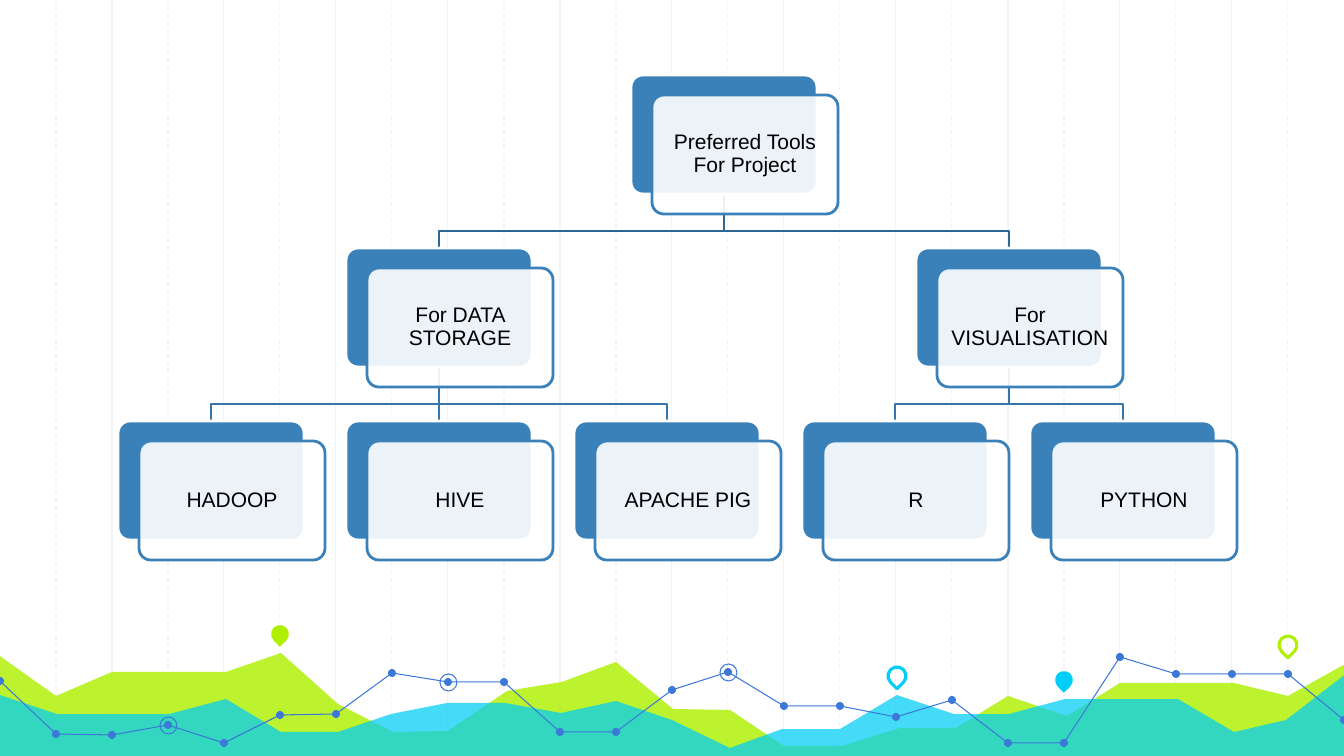
from lxml import etree
from pptx import Presentation
from pptx.dml.color import RGBColor
from pptx.enum.dml import MSO_LINE
from pptx.enum.shapes import MSO_CONNECTOR, MSO_SHAPE
from pptx.enum.text import MSO_ANCHOR, PP_ALIGN
from pptx.oxml.ns import qn
from pptx.util import Inches, Pt

PX = Inches(1) / 100.8
W, H = 1344, 756
STEP = 56  # spacing of the background grid

WHITE = RGBColor(0xFF, 0xFF, 0xFF)
BLACK = RGBColor(0x00, 0x00, 0x00)
GRID = RGBColor(0xF3, 0xF3, 0xF3)
LIME = RGBColor(0xAF, 0xF0, 0x00)
CYAN = RGBColor(0x00, 0xCE, 0xF6)
TREND = RGBColor(0x3C, 0x78, 0xD8)
CARD = RGBColor(0x3A, 0x81, 0xBA)
LINKS = [RGBColor(0x2E, 0x67, 0x95), RGBColor(0x35, 0x75, 0xA9)]

LIME_AREA = [
    (-3, 654), (56, 696), (112, 672), (226, 672), (281, 653), (338, 704),
    (393, 732), (448, 731), (507, 691), (562, 682), (616, 662), (673, 709),
    (730, 710), (784, 746), (842, 746), (900, 728), (956, 728), (1008, 696),
    (1067, 716), (1120, 683), (1234, 683), (1288, 696), (1347, 663),
    (1346, 758), (-4, 758)]
CYAN_AREA = [
    (-3, 694), (57, 714), (169, 714), (226, 699), (281, 732), (338, 732),
    (391, 714), (447, 703), (505, 703), (561, 713), (616, 701), (672, 720),
    (730, 748), (782, 729), (840, 729), (897, 695), (954, 714), (1009, 714),
    (1065, 699), (1178, 699), (1234, 732), (1286, 720), (1347, 673),
    (1347, 759), (-4, 759)]
TREND_Y = [681, 734, 735, 725, 743, 715, 714, 673, 682, 682, 732, 732, 690,
           672, 706, 706, 717, 700, 743, 743, 657, 674, 674, 674, 720]
TREND_PARTS = [(0, 11), (11, 20), (20, 24)]
RINGED = [8, 3, 13]

# Tree: name -> (column, level, parent); columns count leaf cards
TREE = {
    "Preferred Tools For Project": (2.25, 0, None),
    "For DATA STORAGE": (1, 1, "Preferred Tools For Project"),
    "HADOOP": (0, 2, "For DATA STORAGE"),
    "HIVE": (1, 2, "For DATA STORAGE"),
    "APACHE PIG": (2, 2, "For DATA STORAGE"),
    "For VISUALISATION": (3.5, 1, "Preferred Tools For Project"),
    "R": (3, 2, "For VISUALISATION"),
    "PYTHON": (4, 2, "For VISUALISATION"),
}
CARD_W, CARD_H = 186, 119
BEND = 37  # drop from a parent card to the crossbar


def emu(px):
    return round(px * PX)


class Canvas:
    font = {"name": "Arial", "size": Pt(15)}
    paragraph = {"alignment": PP_ALIGN.CENTER, "line_spacing": 0.9,
                 "space_after": Pt(5)}
    frame = {"word_wrap": True, "vertical_anchor": MSO_ANCHOR.MIDDLE,
             **{f"margin_{side}": emu(9)
                for side in ("left", "top", "right", "bottom")}}

    def __init__(self, slide):
        self.shapes = slide.shapes

    def apply(self, target, values):
        for name, value in values.items():
            setattr(target, name, value)

    def paint(self, sp, fill=None, line=None, width=0.75, alpha=None):
        sp.shadow.inherit = False
        if fill is None:
            sp.fill.background()
        else:
            sp.fill.solid()
            sp.fill.fore_color.rgb = fill
        if alpha:
            clr = sp._element.spPr.find(".//" + qn("a:srgbClr"))
            etree.SubElement(clr, qn("a:alpha"), val=str(alpha * 1000))
        if line is None:
            sp.line.fill.background()
        else:
            sp.line.color.rgb = line
            sp.line.width = Pt(width)
        return sp

    def shape(self, kind, x, y, w, h, **style):
        sp = self.shapes.add_shape(kind, emu(x), emu(y), emu(w), emu(h))
        return self.paint(sp, **style)

    def outline(self, points, close=False, **style):
        builder = self.shapes.build_freeform(*points[0], scale=PX)
        builder.add_line_segments(points[1:], close=close)
        return self.paint(builder.convert_to_shape(), **style)

    def line(self, x1, y1, x2, y2, color, width=0.75, dash=None):
        c = self.shapes.add_connector(MSO_CONNECTOR.STRAIGHT, emu(x1), emu(y1),
                                      emu(x2), emu(y2))
        c.line.color.rgb = color
        c.line.width = Pt(width)
        if dash:
            c.line.dash_style = dash
        etree.SubElement(c._element.spPr, qn("a:effectLst"))
        return c

    def circle(self, cx, cy, size, **style):
        return self.shape(MSO_SHAPE.OVAL, cx - size // 2, cy - size // 2,
                          size, size, **style)

    def pin(self, cx, cy, **style):
        sp = self.shape(MSO_SHAPE.TEAR, cx - 9, cy - 9, 18, 18, **style)
        sp.rotation = 135

    def card(self, x, y, text):
        back = self.shape(MSO_SHAPE.ROUNDED_RECTANGLE, x, y, CARD_W, CARD_H,
                          fill=CARD, line=WHITE, width=2)
        front = self.shape(MSO_SHAPE.ROUNDED_RECTANGLE, x + 21, y + 20, CARD_W,
                           CARD_H, fill=WHITE, alpha=90, line=CARD, width=2)
        for sp in (back, front):
            sp.adjustments[0] = 0.1
        tf = front.text_frame
        self.apply(tf, self.frame)
        p = tf.paragraphs[0]
        self.apply(p, self.paragraph)
        r = p.add_run()
        r.text = text
        self.apply(r.font, self.font)
        r.font.color.rgb = BLACK
        return back


def card_origin(name):
    column, level, _ = TREE[name]
    return round(118 + 228 * column), 75 + 173 * level


def main():
    prs = Presentation()
    prs.slide_width, prs.slide_height = emu(W), emu(H)
    s = Canvas(prs.slides.add_slide(prs.slide_layouts[6]))

    # Background grid, solid and dashed in turn
    for start, dash in ((2 * STEP, None), (STEP, MSO_LINE.DASH)):
        for x in range(start, W, 2 * STEP):
            s.line(x, 0, x, H, GRID, dash=dash)

    # Areas and trend line along the bottom
    s.outline(LIME_AREA, close=True, fill=LIME, alpha=82)
    s.outline(CYAN_AREA, close=True, fill=CYAN, alpha=73)
    trend = [(i * STEP, y) for i, y in enumerate(TREND_Y)]
    for first, last in TREND_PARTS:
        s.outline(trend[first:last + 1], line=TREND)
    for x, y in trend:
        s.circle(x, y, 8, fill=TREND)
    for i in RINGED:
        s.circle(*trend[i], 17, line=TREND)

    # Map pins
    s.pin(280, 634, fill=LIME)
    s.pin(897, 676, line=CYAN, width=2.25)
    s.pin(1064, 680, fill=CYAN)
    s.pin(1288, 645, line=LIME, width=2.25)

    # Tree links, behind the cards
    straight = []
    for name, (_, level, parent) in TREE.items():
        if parent is None:
            continue
        px, py = card_origin(parent)
        cx, cy = card_origin(name)
        x1, x2, y1 = px + CARD_W // 2, cx + CARD_W // 2, py + CARD_H
        color = LINKS[level - 1]
        if x1 == x2:
            link = s.line(x1, y1, x2, cy, color, width=2)
            straight.append((link, parent, name))
        else:
            s.outline([(x1, y1), (x1, y1 + BEND), (x2, y1 + BEND), (x2, cy)],
                      line=color, width=2)

    # Tree cards
    cards = {name: s.card(*card_origin(name), name) for name in TREE}
    for link, parent, name in straight:
        link.begin_connect(cards[parent], 2)
        link.end_connect(cards[name], 0)

    prs.save("out.pptx")


if __name__ == "__main__":
    main()
